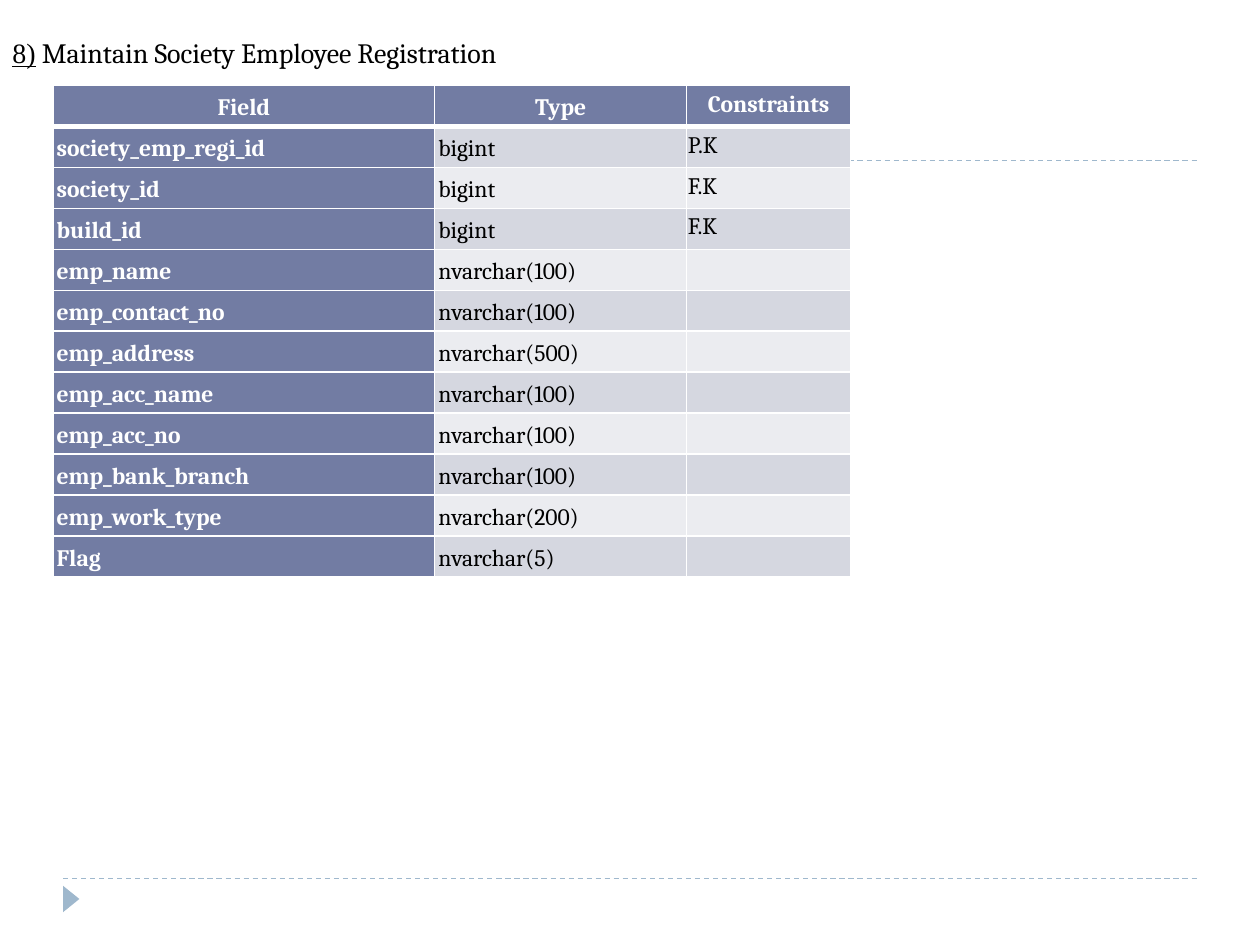
from lxml.etree import SubElement
from pptx import Presentation
from pptx.dml.color import RGBColor
from pptx.enum.dml import MSO_LINE
from pptx.enum.shapes import MSO_CONNECTOR, MSO_SHAPE
from pptx.enum.text import MSO_ANCHOR, MSO_AUTO_SIZE, PP_ALIGN
from pptx.oxml.ns import qn
from pptx.util import Inches, Pt

SLIDE_WIDTH, SLIDE_HEIGHT = Inches(10), Inches(7.5)
SLATE, SKY, WHITE, BLACK = "727CA3", "9FB8CD", "FFFFFF", "000000"
BANDS = ("D5D7E0", "EBECF0")
COLUMN_WIDTHS = (3.03, 2, 1.3)
TABLE_HEIGHT = 3.9

HEADER = ("Field", "Type", "Constraints")
FIELDS = [
    ("society_emp_regi_id", "bigint", "P.K"),
    ("society_id", "bigint", "F.K"),
    ("build_id", "bigint", "F.K"),
    ("emp_name", "nvarchar(100)", ""),
    ("emp_contact_no", "nvarchar(100)", ""),
    ("emp_address", "nvarchar(500)", ""),
    ("emp_acc_name", "nvarchar(100)", ""),
    ("emp_acc_no", "nvarchar(100)", ""),
    ("emp_bank_branch", "nvarchar(100)", ""),
    ("emp_work_type", "nvarchar(200)", ""),
    ("Flag", "nvarchar(5)", ""),
]


def color(hex_code):
    return RGBColor.from_string(hex_code)


def apply(target, formats):
    for name, value in formats.items():
        setattr(target, name, value)


def add_run(paragraph, text, hex_code, **formats):
    run = paragraph.add_run()
    run.text = text
    apply(run.font, formats)
    run.font.color.rgb = color(hex_code)


def add_dashed_rule(slide, height_share):
    """Draw a rule across the slide, inside its 5 % side margins."""
    y = int(SLIDE_HEIGHT * height_share)
    rule = slide.shapes.add_connector(
        MSO_CONNECTOR.STRAIGHT, int(SLIDE_WIDTH * 0.05), y, int(SLIDE_WIDTH * 0.95), y)
    rule.line.color.rgb = color(SKY)
    apply(rule.line, {"width": Pt(0.75), "dash_style": MSO_LINE.DASH})
    SubElement(rule._element.spPr, qn("a:effectLst"))


def add_page_marker(slide):
    marker = slide.shapes.add_shape(
        MSO_SHAPE.ISOSCELES_TRIANGLE, Inches(0.46), Inches(7.07), Inches(0.21), Inches(0.13))
    marker.rotation = 90
    marker.shadow.inherit = False
    marker.fill.solid()
    marker.fill.fore_color.rgb = color(SKY)
    marker.line.fill.background()


def add_heading(slide, number, title):
    heading = slide.shapes.add_textbox(0, Inches(0.23), Inches(4.25), Inches(0.37))
    apply(heading.text_frame, {
        "word_wrap": False,
        "auto_size": MSO_AUTO_SIZE.SHAPE_TO_FIT_TEXT,
        "vertical_anchor": MSO_ANCHOR.MIDDLE,
    })
    paragraph = heading.text_frame.paragraphs[0]
    add_run(paragraph, number, BLACK, name="Times New Roman", size=Pt(16), underline=True)
    add_run(paragraph, f" {title}", BLACK, name="Cambria", size=Pt(16))


def set_borders(cell, **widths):
    """Give the cell white borders; widths are points by side, in the order L, R, T, B."""
    for side, width in widths.items():
        border = SubElement(cell._tc.get_or_add_tcPr(), qn(f"a:ln{side}"), w=str(Pt(width)))
        fill = SubElement(border, qn("a:solidFill"))
        SubElement(fill, qn("a:srgbClr"), val=WHITE)


def fill_cell(cell, text, row, column):
    is_header, is_constraint = row == 0, column == 2
    is_label = is_header or column == 0
    set_borders(cell, L=1, R=1, T=3 if row == 1 else 1, B=3 if is_header else 1)
    cell.fill.solid()
    cell.fill.fore_color.rgb = color(SLATE if is_label else BANDS[(row - 1) % 2])
    inset = Inches(0.01 if is_constraint else 0.03)
    apply(cell, {f"margin_{side}": inset for side in ("left", "top", "right", "bottom")})
    cell.vertical_anchor = MSO_ANCHOR.TOP if is_constraint else MSO_ANCHOR.MIDDLE
    if not text:
        return
    paragraph = cell.text_frame.paragraphs[0]
    apply(paragraph, {
        "alignment": PP_ALIGN.CENTER if is_header else PP_ALIGN.LEFT,
        "line_spacing": 1.15,
    })
    add_run(paragraph, text, WHITE if is_label else BLACK,
            name="Cambria", size=Pt(13.5), bold=is_label)


def add_field_table(slide, rows):
    table = slide.shapes.add_table(
        len(rows), len(HEADER), Inches(0.42), Inches(0.68),
        Inches(sum(COLUMN_WIDTHS)), Inches(TABLE_HEIGHT)).table
    apply(table, {"first_row": False, "horz_banding": False})
    for column, width in zip(table.columns, COLUMN_WIDTHS):
        column.width = Inches(width)
    for r, values in enumerate(rows):
        for c, text in enumerate(values):
            fill_cell(table.cell(r, c), text, r, c)


def main():
    presentation = Presentation()
    apply(presentation, {"slide_width": SLIDE_WIDTH, "slide_height": SLIDE_HEIGHT})
    slide = presentation.slides.add_slide(presentation.slide_layouts[6])
    for height_share in (0.93, 0.17):
        add_dashed_rule(slide, height_share)
    add_page_marker(slide)
    add_heading(slide, "8)", "Maintain Society Employee Registration")
    add_field_table(slide, [HEADER, *FIELDS])
    presentation.save("out.pptx")


if __name__ == "__main__":
    main()
